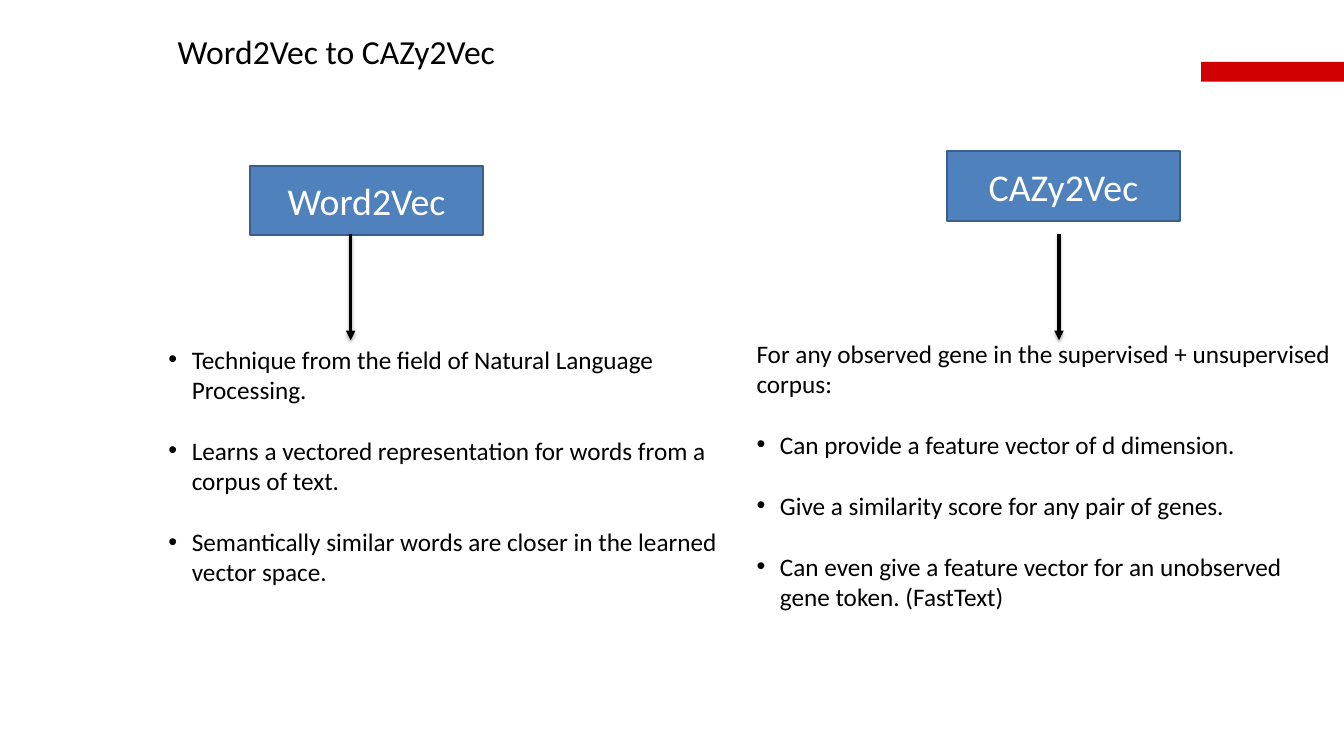
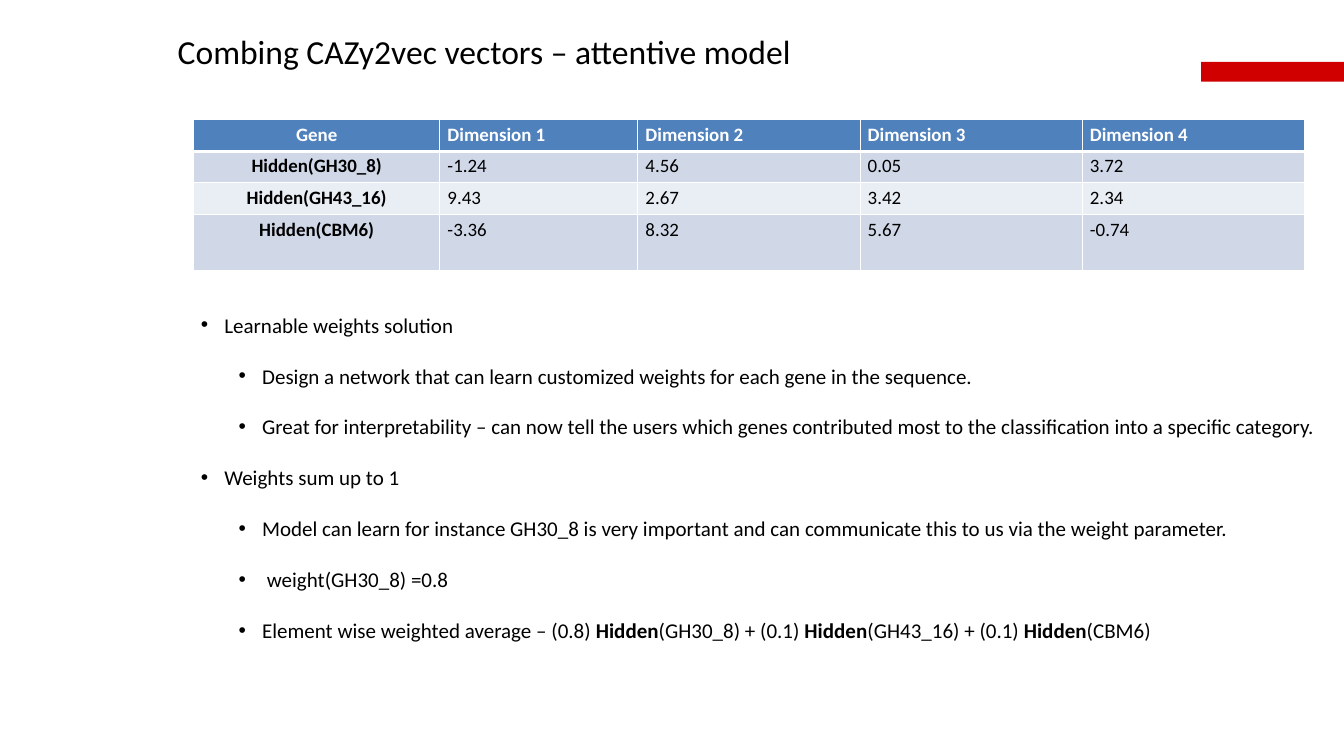
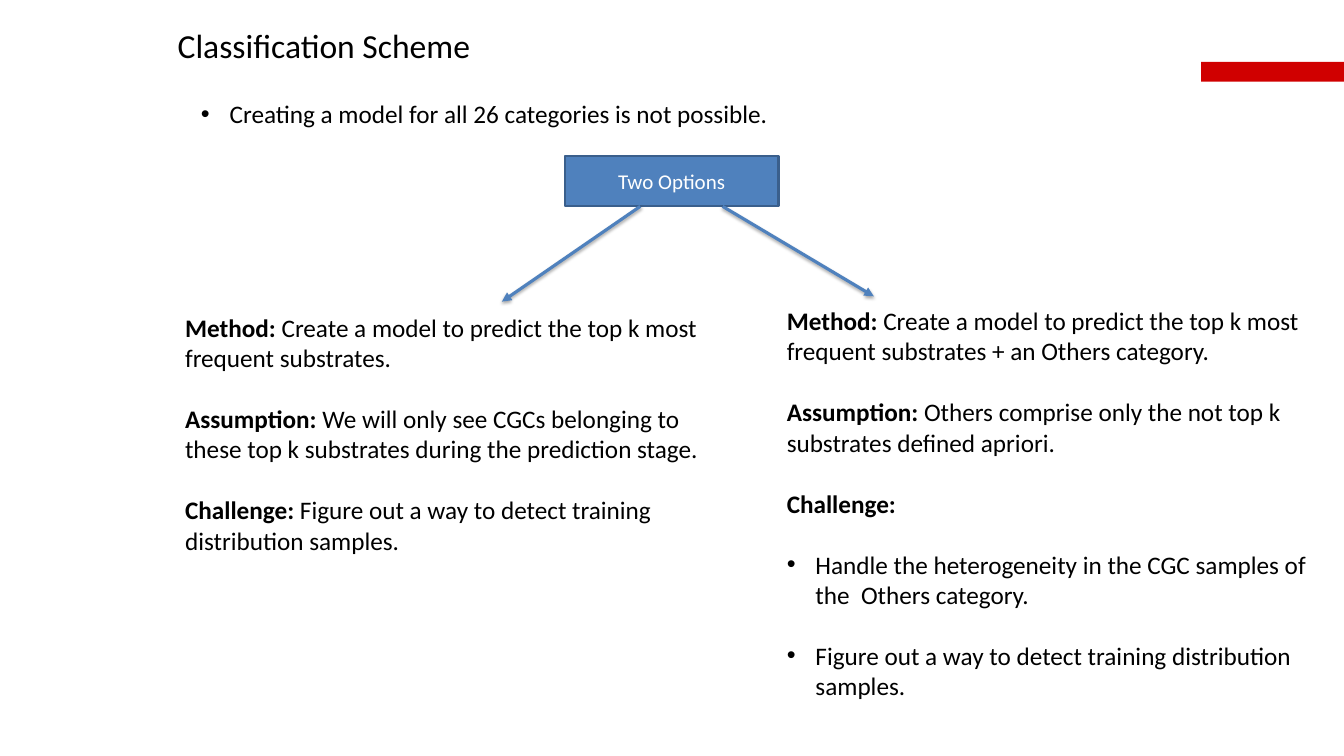
from lxml import etree
from pptx import Presentation
from pptx import util as u
from pptx.dml.color import RGBColor
from pptx.enum import shapes, text
from pptx.oxml import ns

HUES = {"ink": "000000", "paper": "FFFFFF", "blue": "4F81BD", "edge": "3A5F8C",
        "red": "D00000", "band": "D0D8E8", "pale": "E9EDF4"}
FACE = "Calibri"
LINE = 1.22  # line height as a share of the font size
LEFT, MID = text.PP_ALIGN.LEFT, text.PP_ALIGN.CENTER


def hue(name):
    return RGBColor.from_string(HUES[name])


def put(item, **vals):
    for name, val in vals.items():
        setattr(item, name, val)


def sub(parent, tag, **vals):
    return etree.SubElement(parent, ns.qn(tag), {k: str(v) for k, v in vals.items()})


class Deck:
    def __init__(self):
        self.show = Presentation()
        put(self.show, slide_width=u.Inches(17.78), slide_height=u.Inches(10))
        self.slide = None

    def page(self, title, top=0.41):
        """Start a slide with its red band and title."""
        self.slide = self.show.slides.add_slide(self.show.slide_layouts[6])
        self.rect((15.89, 0.82, 1.89, 0.26), "red")
        frame = self.frame((2.35, top, 13.08, 0.53))
        put(frame, margin_left=0, margin_top=0, margin_right=0, margin_bottom=0)
        self.prose(frame.paragraphs[0], title, 32)

    def prose(self, para, words, size, color="ink", align=LEFT):
        """Fill a paragraph; parts between ** marks are bold."""
        para.alignment = align
        for i, part in enumerate(words.split("**")):
            if part:
                run = para.add_run()
                run.text = part
                put(run.font, name=FACE, size=u.Pt(size), bold=i % 2 == 1)
                run.font.color.rgb = hue(color)

    def frame(self, box):
        frame = self.slide.shapes.add_textbox(*map(u.Inches, box)).text_frame
        frame.word_wrap = True
        return frame

    def rect(self, box, fill, edge=None):
        shape = self.slide.shapes.add_shape(shapes.MSO_SHAPE.RECTANGLE, *map(u.Inches, box))
        shape.shadow.inherit = False
        shape.fill.solid()
        shape.fill.fore_color.rgb = hue(fill)
        if edge:
            shape.line.color.rgb = hue(edge)
            shape.line.width = u.Pt(2)
        else:
            shape.line.fill.background()
        return shape

    def label(self, box, words, size):
        frame = self.rect(box, "blue", "edge").text_frame
        put(frame, word_wrap=True, vertical_anchor=text.MSO_ANCHOR.MIDDLE)
        self.prose(frame.paragraphs[0], words, size, "paper", MID)

    def notes(self, box, items, size=24, hang=0.31):
        """Paragraphs as (level, words); level 0 has no bullet."""
        frame = self.frame(box)
        frame.auto_size = text.MSO_AUTO_SIZE.SHAPE_TO_FIT_TEXT
        for i, (level, words) in enumerate(items):
            para = frame.add_paragraph() if i else frame.paragraphs[0]
            if level:
                props = para._p.get_or_add_pPr()
                props.set("marL", str(u.Inches(hang + 0.5 * (level - 1))))
                props.set("indent", str(-u.Inches(hang)))
                sub(props, "a:buFont", typeface="Arial")
                sub(props, "a:buChar", char="•")
                para.level = level - 1
            if i:
                para.space_before = u.Pt(round(size * LINE, 1))
            self.prose(para, words, size)

    def arrow(self, start, end, color="ink"):
        line = self.slide.shapes.add_connector(
            shapes.MSO_CONNECTOR.STRAIGHT, *map(u.Inches, start + end))
        line.line.color.rgb = hue(color)
        line.line.width = u.Pt(3)
        sub(line.line._get_or_add_ln(), "a:tailEnd", type="triangle")
        glow = sub(sub(line._element.spPr, "a:effectLst"), "a:outerShdw",
                   blurRad=u.Pt(3.1), dist=u.Pt(1.8), dir=5400000, rotWithShape=0)
        sub(sub(glow, "a:srgbClr", val=HUES["ink"]), "a:alpha", val=35000)

    def cell(self, cell, words, fill, edges, **style):
        cell.fill.solid()
        cell.fill.fore_color.rgb = hue(fill)
        self.prose(cell.text_frame.paragraphs[0], words, 18, **style)
        props = cell._tc.get_or_add_tcPr()
        for i, (side, width) in enumerate(edges.items()):
            edge = sub(props, "a:ln" + side, w=u.Pt(width))
            sub(sub(edge, "a:solidFill"), "a:srgbClr", val=HUES["paper"])
            props.insert(i, edge)

    def table(self, box, wide, high, rows):
        grid = self.slide.shapes.add_table(len(rows), len(wide), *map(u.Inches, box)).table
        for col, size in zip(grid.columns, wide):
            col.width = u.Inches(size)
        for r, row in enumerate(rows):
            grid.rows[r].height = u.Inches(high[r])
            fill = "blue" if r == 0 else "band" if r % 2 else "pale"
            edges = {"L": 1, "R": 1, "T": 3 if r == 1 else 1, "B": 1 if r else 3}
            for c, words in enumerate(row):
                bold = r == 0 or c == 0
                self.cell(grid.cell(r, c), f"**{words}**" if bold else words, fill, edges,
                          color="ink" if r else "paper", align=LEFT if c else MID)


def main():
    deck = Deck()

    # Word2Vec beside CAZy2Vec
    deck.page("Word2Vec to CAZy2Vec")
    for name, left, top, mid in (("Word2Vec", 3.31, 2.19, 4.64),
                                 ("CAZy2Vec", 12.53, 2, 14.01)):
        deck.label((left, top, 3.08, 0.92), name, 36)
        deck.arrow((mid, 3.1), (mid, 4.5))
    deck.notes((2.13, 4.5, 7.87, 3.33), [
        (1, "Technique from the field of Natural Language Processing."),
        (1, "Learns a vectored representation for words from a corpus of text."),
        (1, "Semantically similar words are closer in the learned vector space.")])
    deck.notes((9.91, 4.42, 7.87, 3.74), [
        (0, "For any observed gene in the supervised + unsupervised corpus:"),
        (1, "Can provide a feature vector of d dimension."),
        (1, "Give a similarity score for any pair of genes."),
        (1, "Can even give a feature vector for an unobserved gene token. (FastText)")])

    # Weighted gene vectors
    deck.page("Combing CAZy2vec vectors – attentive model")
    deck.notes((2.56, 4.08, 15.04, 4.48), [
        (1, "Learnable weights solution"),
        (2, "Design a network that can learn customized weights for each gene in the sequence."),
        (2, "Great for interpretability – can now tell the users which genes contributed most "
            "to the classification into a specific category."),
        (1, "Weights sum up to 1"),
        (2, "Model can learn for instance GH30_8 is very important and can communicate this "
            "to us via the weight parameter."),
        (2, " weight(GH30_8) =0.8"),
        (2, "Element wise weighted average – (0.8) **Hidden**(GH30_8) + (0.1) "
            "**Hidden**(GH43_16) + (0.1) **Hidden**(CBM6)")], size=20)
    deck.table((2.56, 1.58, 14.7, 2), [3.26, 2.62] + [2.94] * 3, [0.42] * 3 + [0.74], [
        ["Gene"] + [f"Dimension {n}" for n in range(1, 5)],
        ["Hidden(GH30_8)", "-1.24", "4.56", "0.05", "3.72"],
        ["Hidden(GH43_16)", "9.43", "2.67", "3.42", "2.34"],
        ["Hidden(CBM6)", "-3.36", "8.32", "5.67", "-0.74"]])

    # Two ways to classify
    deck.page("Classification Scheme", top=0.33)
    deck.notes((2.56, 1.25, 14.58, 0.5),
               [(1, "Creating a model for all 26 categories is not possible.")], hang=0.38)
    deck.label((7.47, 2.06, 2.83, 0.67), "Two Options", 20)
    deck.arrow((8.47, 2.73), (6.64, 3.99), "blue")
    deck.arrow((9.56, 2.73), (11.56, 3.92), "blue")
    method = "**Method: **Create a model to predict the top k most frequent substrates"
    detect = "Figure out a way to detect training distribution samples."
    deck.notes((2.35, 4.08, 7.08, 3.33), [
        (0, method + "."),
        (0, "**Assumption: **We will only see CGCs belonging to these top k substrates "
            "during the prediction stage."),
        (0, "**Challenge: **" + detect)])
    deck.notes((10.31, 3.99, 7.08, 5.35), [
        (0, method + " + an Others category."),
        (0, "**Assumption: **Others comprise only the not top k substrates defined apriori."),
        (0, "**Challenge:**"),
        (1, "Handle the heterogeneity in the CGC samples of the  Others category."),
        (1, detect)], hang=0.38)

    deck.show.save("out.pptx")


if __name__ == "__main__":
    main()
